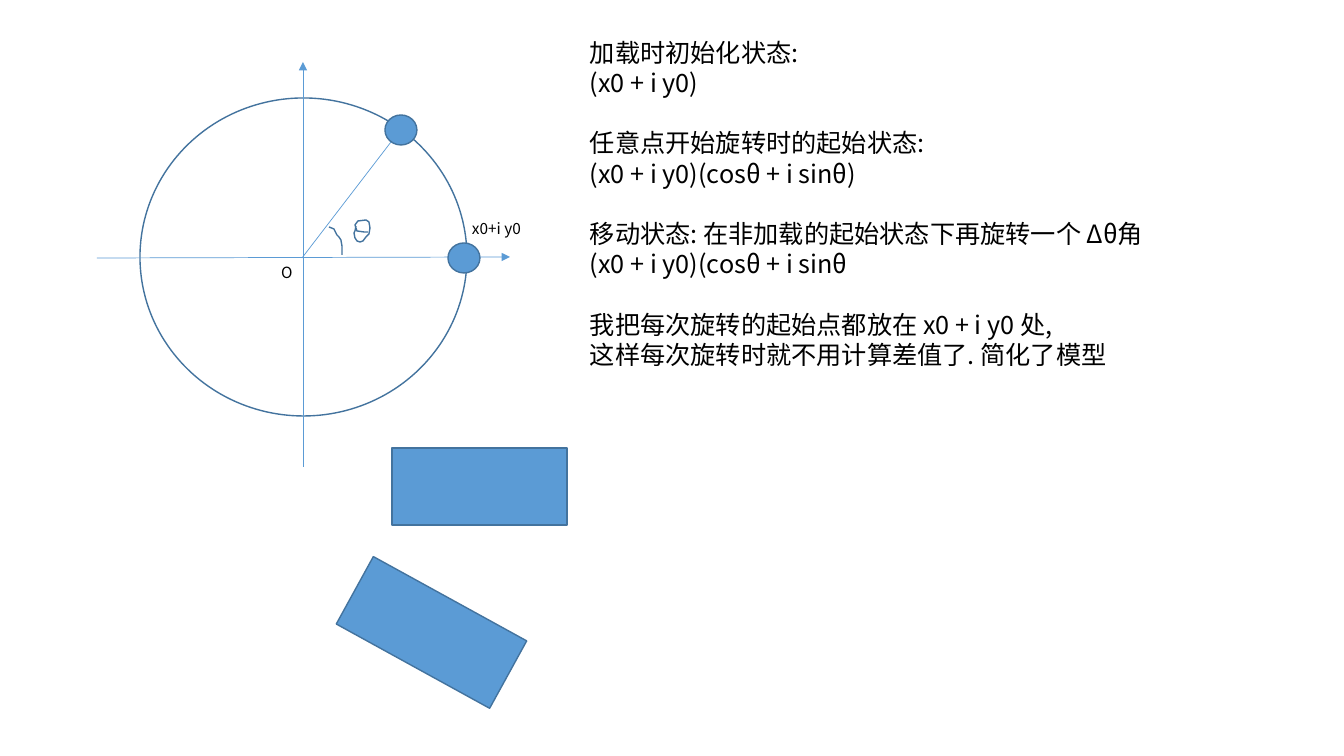
from typing import NamedTuple

from lxml.etree import SubElement
from pptx import Presentation
from pptx.dml.color import RGBColor
from pptx.enum.shapes import MSO_CONNECTOR as Connector, MSO_SHAPE as Preset
from pptx.enum.text import MSO_ANCHOR as Anchor, PP_ALIGN as Align
from pptx.oxml.ns import qn
from pptx.util import Emu, Pt

PIXEL = 914400 / 100.8
FONT = "Noto Sans CJK SC"
BLUE = RGBColor(0x5B, 0x9B, 0xD5)
DARK_BLUE = RGBColor(0x43, 0x73, 0x9E)
BLACK = RGBColor(0, 0, 0)


class Figure(NamedTuple):
    preset: Preset
    left: int
    top: int
    width: int
    height: int
    filled: bool = True
    rotation: float = 0


class Segment(NamedTuple):
    start: tuple[int, int]
    end: tuple[int, int]
    arrow: bool = False


class Label(NamedTuple):
    left: int
    top: int
    width: int
    height: int
    blocks: list[list[str]]
    size: float
    pitch: float
    align: Align


CIRCLE = Figure(Preset.OVAL, 140, 98, 327, 318, filled=False)
AXES = [
    Segment((97, 258), (510, 257), arrow=True),
    Segment((303, 467), (303, 62), arrow=True),
]
RADIUS = Segment((302, 258), (391, 142))
POINTS = [Figure(Preset.OVAL, left, top, 32, 30) for left, top in ((448, 243), (385, 115))]
RECTANGLES = [
    Figure(Preset.RECTANGLE, 344, 594, 175, 77, rotation=28.8),
    Figure(Preset.RECTANGLE, 392, 448, 175, 77),
]

# Handwritten strokes
ANGLE_ARC = [(329, 227), (334, 229), (337, 235), (339, 237), (341, 240), (342, 246), (342, 255)]
THETA = [
    (356, 226), (355, 231), (354, 233), (355, 238), (357, 241), (360, 242),
    (363, 241), (366, 237), (369, 234), (370, 228), (369, 222), (366, 220),
    (358, 221), (355, 225), (357, 231), (364, 232), (368, 232),
]

EXPLANATION = [
    ["加载时初始化状态:", "(x0 + i y0)"],
    ["任意点开始旋转时的起始状态:", "(x0 + i y0)(cosθ + i sinθ)"],
    ["移动状态: 在非加载的起始状态下再旋转一个 Δθ角", "(x0 + i y0)(cosθ + i sinθ"],
    ["我把每次旋转的起始点都放在 x0 + i y0 处,", "这样每次旋转时就不用计算差值了. 简化了模型"],
]
LABELS = [
    Label(462, 214, 69, 29, [["x0+i y0"]], 11, 13, Align.CENTER),
    Label(271, 258, 32, 29, [["O"]], 11, 13, Align.CENTER),
    Label(580, 32, 579, 377, EXPLANATION, 18, 21.6, Align.LEFT),
]


def px(length: float) -> Emu:
    return Emu(round(length * PIXEL))


def set_format(target, values: dict) -> None:
    for name, value in values.items():
        setattr(target, name, value)


def style_shape(shape, filled: bool) -> None:
    shape.shadow.inherit = False
    if filled:
        shape.fill.solid()
        shape.fill.fore_color.rgb = BLUE
    else:
        shape.fill.background()
    shape.line.color.rgb = DARK_BLUE
    shape.line.width = Pt(1)


def draw_figure(slide, figure: Figure) -> None:
    box = map(px, (figure.left, figure.top, figure.width, figure.height))
    shape = slide.shapes.add_shape(figure.preset, *box)
    shape.rotation = figure.rotation
    style_shape(shape, figure.filled)


def draw_segment(slide, segment: Segment) -> None:
    ends = map(px, (*segment.start, *segment.end))
    connector = slide.shapes.add_connector(Connector.STRAIGHT, *ends)
    connector.line.color.rgb = BLUE
    connector.line.width = Pt(0.5)
    properties = connector._element.spPr
    if segment.arrow:
        SubElement(properties.find(qn("a:ln")), qn("a:tailEnd"), type="triangle")
    SubElement(properties, qn("a:effectLst"))


def draw_stroke(slide, points: list[tuple[int, int]]) -> None:
    builder = slide.shapes.build_freeform(*points[0], scale=PIXEL)
    builder.add_line_segments(points[1:], close=False)
    style_shape(builder.convert_to_shape(), filled=False)


def draw_label(slide, label: Label) -> None:
    box = map(px, (label.left, label.top, label.width, label.height))
    frame = slide.shapes.add_textbox(*box).text_frame
    set_format(frame, {"word_wrap": True, "vertical_anchor": Anchor.TOP})
    lines = [(line, block > 0 and row == 0)
             for block, block_lines in enumerate(label.blocks)
             for row, line in enumerate(block_lines)]
    for index, (line, starts_block) in enumerate(lines):
        paragraph = frame.add_paragraph() if index else frame.paragraphs[0]
        set_format(paragraph, {
            "alignment": label.align,
            "line_spacing": Pt(label.pitch),
            "space_before": Pt(label.pitch if starts_block else 0),
        })
        run = paragraph.add_run()
        run.text = line
        set_format(run.font, {"size": Pt(label.size), "name": FONT})
        run.font.color.rgb = BLACK
        SubElement(run.font._element, qn("a:ea"), typeface=FONT)


presentation = Presentation()
set_format(presentation, {"slide_width": px(1344), "slide_height": px(756)})
slide = presentation.slides.add_slide(presentation.slide_layouts[6])

# Circle with its axes, radius and moving points
draw_figure(slide, CIRCLE)
for segment in AXES:
    draw_segment(slide, segment)
for point in POINTS:
    draw_figure(slide, point)
draw_segment(slide, RADIUS)
for stroke in (ANGLE_ARC, THETA):
    draw_stroke(slide, stroke)

# Rectangle before and after rotation
for rectangle in RECTANGLES:
    draw_figure(slide, rectangle)

# Point labels and explanation
for label in LABELS:
    draw_label(slide, label)

presentation.save("out.pptx")
